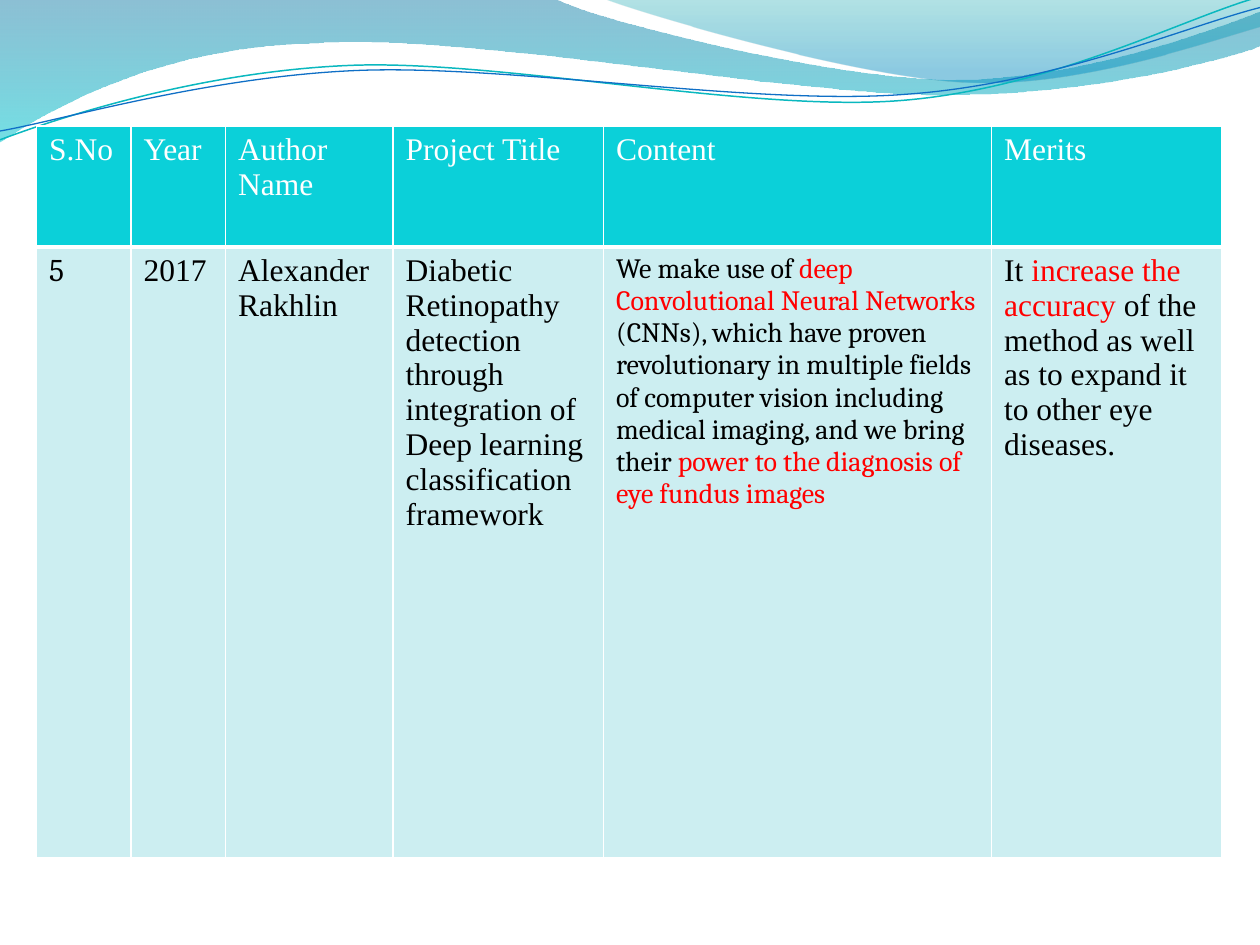
from lxml import etree
from pptx import Presentation, util as u
from pptx.dml.color import RGBColor
from pptx.oxml.ns import qn

COLORS = {
    "white": "FFFFFF", "black": "000000", "red": "FF0000",
    "header": "0BD0D9", "body": "CCEEF1",
    "teal_line": "0AB8BF", "blue_line": "0F6FC6",
    "deep": "0074A1", "aqua": "00C6CF", "green": "00A1A9", "sky": "008BBF",
}
SERIF, BOOK = "Times New Roman", "Cambria"

COLUMNS = [0.75, 0.75, 1.33, 1.67, 3.08, 1.83]
ROWS = [0.96, 4.85]
HEADERS = ["S.No", "Year", "Author Name", "Project Title", "Content", "Merits"]
ENTRY = [
    dict(paras=[[("5", "black")]], font=BOOK),
    dict(paras=[[("2017", "black")]]),
    dict(paras=[[("Alexander Rakhlin", "black")]]),
    dict(paras=[
        [("Diabetic Retinopathy detection through integration of", "black")],
        [("Deep learning classification framework", "black")],
    ]),
    dict(paras=[[
        ("We make use of ", "black"),
        ("deep Convolutional Neural Networks ", "red"),
        ("(CNNs), which have proven revolutionary in multiple fields of computer "
         "vision including medical imaging, and we bring their ", "black"),
        ("power to the diagnosis of eye fundus images", "red"),
    ]], font=BOOK, size=16),
    dict(paras=[[
        ("It ", "black"),
        ("increase the accuracy ", "red"),
        ("of the method as well as to expand it to other eye diseases.", "black"),
    ]]),
]

BROAD_WAVE = [
    (0, 0), (4.4, -0.01), (4.76, 0.17, 6.64, 0.63, 7.58, 0.63),
    (8.53, 0.63, 9.58, 0.26, 10, 0.09), (10.01, 0.36),
    (9.83, 0.44, 8.7, 0.76, 7.46, 0.75), (6.22, 0.75, 3.82, 0.28, 2.57, 0.34),
    (1.29, 0.36, 0.46, 0.83, -0.01, 1.13), (0, 0),
]
RIGHT_WAVE = [
    (4.79, -0.01), (5.09, 0.11, 6.82, 0.62, 7.69, 0.65),
    (8.56, 0.69, 9.61, 0.32, 10, 0.21), (10, 0), (4.79, -0.01),
]
TEAL_CURVE = [
    (0, 1.11), (0.48, 0.93, 1.58, 0.57, 2.77, 0.52),
    (3.95, 0.47, 5.93, 0.89, 7.13, 0.8), (8.33, 0.71, 9.38, 0.15, 9.98, -0.02),
]
BLUE_CURVE = [
    (0, 1.04), (0.47, 0.96, 1.64, 0.61, 2.83, 0.56),
    (4.03, 0.51, 5.97, 0.84, 7.17, 0.75), (8.36, 0.67, 9.41, 0.21, 10, 0.06),
]


def rgb(name):
    return RGBColor.from_string(COLORS[name])


def bend(sp, segments):
    steps = iter(list(sp._element.spPr.iter(qn("a:lnTo"))))
    for seg in segments[1:]:
        first, *others = [next(steps) for _ in range(len(seg) // 2)]
        if others:
            curve = etree.Element(qn("a:cubicBezTo"))
            first.addprevious(curve)
            for step in (first, *others):
                curve.append(step[0])
                step.getparent().remove(step)


def add_outline(slide, segments, close):
    points = [(u.Inches(x), u.Inches(y))
              for seg in segments for x, y in zip(seg[::2], seg[1::2])]
    builder = slide.shapes.build_freeform(*points[0])
    builder.add_line_segments(points[1:], close=close)
    sp = builder.convert_to_shape()
    sp.shadow.inherit = False
    bend(sp, segments)
    return sp


def add_wave(slide, segments, stops):
    sp = add_outline(slide, segments, True)
    sp.line.fill.background()
    sp.fill.gradient()
    sp.fill.gradient_angle = 270
    for stop, (position, color, _) in zip(sp.fill.gradient_stops, stops):
        stop.position = position
        stop.color.rgb = rgb(color)
    for clr, (_, _, opacity) in zip(sp._element.spPr.iter(qn("a:srgbClr")), stops):
        etree.SubElement(clr, qn("a:alpha"), val=str(opacity * 1000))


def add_curve(slide, segments, color, width):
    sp = add_outline(slide, segments, False)
    sp.fill.background()
    sp.line.color.rgb = rgb(color)
    sp.line.width = u.Pt(width)


def write_text(tf, paras, font=SERIF, size=18):
    tf.word_wrap = True
    for i, runs in enumerate(paras):
        p = tf.add_paragraph() if i else tf.paragraphs[0]
        for words, color in runs:
            r = p.add_run()
            r.text = words
            r.font.name = font
            r.font.size = u.Pt(size)
            r.font.bold = False
            r.font.color.rgb = rgb(color)


def set_borders(cell, top=1, bottom=1):
    tc_pr = cell._tc.get_or_add_tcPr()
    for side, width in (("L", 1), ("R", 1), ("T", top), ("B", bottom)):
        ln = etree.SubElement(tc_pr, qn(f"a:ln{side}"), w=str(u.Pt(width)))
        fill = etree.SubElement(ln, qn("a:solidFill"))
        etree.SubElement(fill, qn("a:srgbClr"), val=COLORS["white"])


def fill_cell(cell, color, borders, **text):
    set_borders(cell, **borders)
    cell.fill.solid()
    cell.fill.fore_color.rgb = rgb(color)
    write_text(cell.text_frame, **text)


def add_survey_table(slide, left, top):
    frame = slide.shapes.add_table(
        len(ROWS), len(COLUMNS), u.Inches(left), u.Inches(top),
        u.Inches(sum(COLUMNS)), u.Inches(sum(ROWS)))
    table = frame.table
    for column, width in zip(table.columns, COLUMNS):
        column.width = u.Inches(width)
    for row, height in zip(table.rows, ROWS):
        row.height = u.Inches(height)
    for i, (header, entry) in enumerate(zip(HEADERS, ENTRY)):
        fill_cell(table.cell(0, i), "header", {"bottom": 3}, paras=[[(header, "white")]])
        fill_cell(table.cell(1, i), "body", {"top": 3}, **entry)


def main():
    prs = Presentation()
    prs.slide_width, prs.slide_height = u.Inches(10), u.Inches(7.5)
    slide = prs.slides.add_slide(prs.slide_layouts[6])
    add_wave(slide, BROAD_WAVE, [(0, "deep", 45), (1, "aqua", 55)])
    add_wave(slide, RIGHT_WAVE, [(0, "green", 30), (0.8, "sky", 45)])
    add_curve(slide, TEAL_CURVE, "teal_line", 0.85)
    add_curve(slide, BLUE_CURVE, "blue_line", 0.75)
    add_survey_table(slide, 0.29, 1)
    prs.save("out.pptx")


if __name__ == "__main__":
    main()
